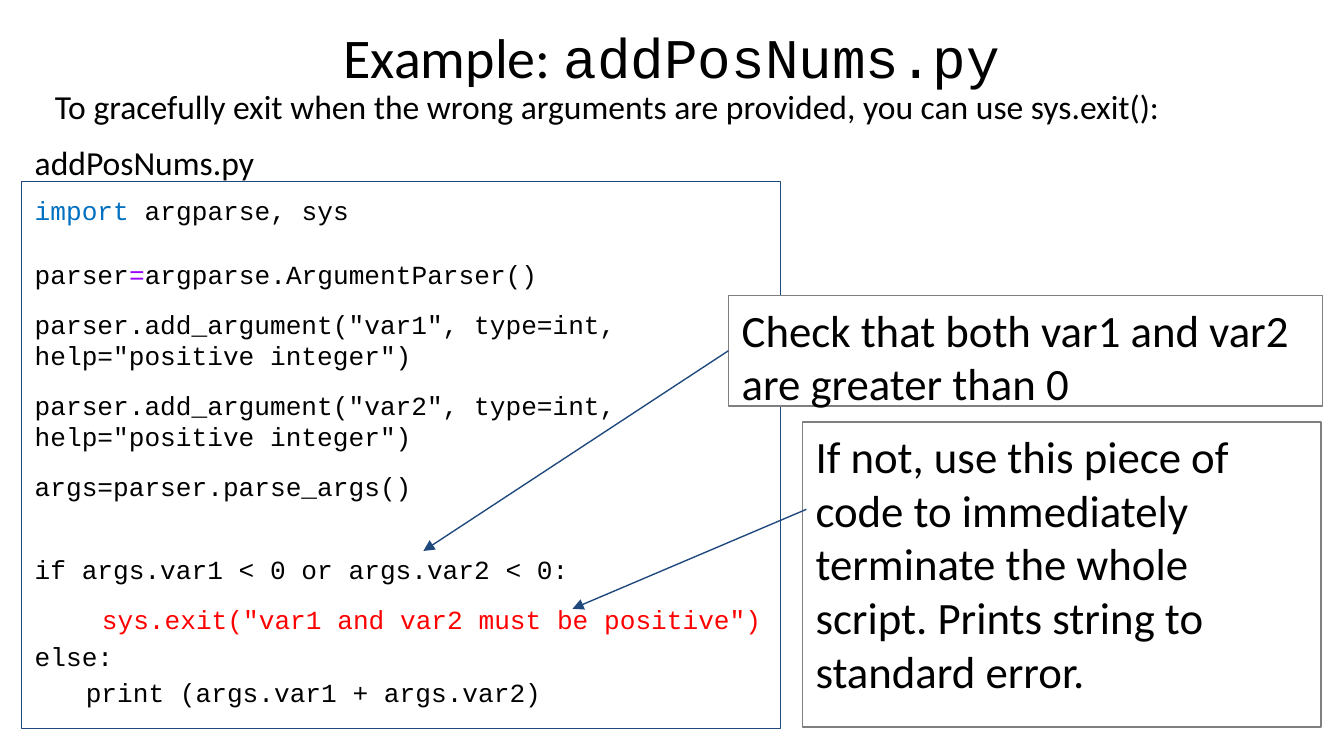
from dataclasses import dataclass

from lxml import etree
from pptx import Presentation
from pptx import util as u
from pptx.dml.color import RGBColor
from pptx.enum import shapes, text
from pptx.oxml import ns

BLACK = RGBColor(0x00, 0x00, 0x00)
WHITE = RGBColor(0xFF, 0xFF, 0xFF)
GRAY = RGBColor(0x7F, 0x7F, 0x7F)
NAVY = RGBColor(0x1F, 0x49, 0x7D)
BLUE = RGBColor(0x00, 0x70, 0xC0)
PURPLE = RGBColor(0x99, 0x00, 0xFF)
RED = RGBColor(0xFF, 0x00, 0x00)
SANS, MONO = "Calibri", "Courier New"
SLIDE_WIDTH = 10
SLIDE_HEIGHT = SLIDE_WIDTH * 9 / 16


@dataclass(frozen=True)
class Run:
    text: str
    color: RGBColor = BLACK
    font: str | None = None


@dataclass(frozen=True)
class Line:
    runs: tuple[Run, ...]
    before: float = 0
    indent: float = 0


@dataclass(frozen=True)
class Box:
    left: float
    top: float
    width: float
    height: float
    lines: tuple[Line, ...]
    size: float
    font: str = SANS
    inset: float = 0.05
    align: text.PP_ALIGN = text.PP_ALIGN.LEFT
    spacing: float | None = None
    fill: RGBColor | None = None
    border: RGBColor | None = None


@dataclass(frozen=True)
class Arrow:
    start: tuple[float, float]
    end: tuple[float, float]


def plain(words: str, before: float = 0, indent: float = 0, color: RGBColor = BLACK) -> Line:
    return Line((Run(words, color),), before, indent)


TITLE = Box(0.5, 0.07, 9, 0.94, (Line((Run("Example: "), Run("addPosNums.py", font=MONO))),),
            30, inset=0.1, align=text.PP_ALIGN.CENTER)
CODE = Box(0.16, 1.35, 5.65, 4.07, (
    Line((Run("import", BLUE), Run(" argparse, sys"))),
    Line((Run("parser"), Run("=", PURPLE), Run("argparse.ArgumentParser()")), 17),
    plain('parser.add_argument("var1", type=int, help="positive integer")', 10),
    plain('parser.add_argument("var2", type=int, help="positive integer")', 10),
    plain("args=parser.parse_args()", 10),
    plain("if args.var1 < 0 or args.var2 < 0:", 27.5),
    plain('sys.exit("var1 and var2 must be positive")', 10, 0.5, RED),
    plain("else:", 2.8),
    plain("print (args.var1 + args.var2)", 2.8, 0.38),
), 14, MONO, 0.1, spacing=16.8, border=NAVY)
FILE_LABEL = Box(0.16, 1.01, 2.02, 0.34, (plain("addPosNums.py"),), 18)
INTRO = Box(0.31, 0.54, 9.09, 0.47, (plain(
    "To gracefully exit when the wrong arguments are provided, you can use sys.exit():"),),
    18, inset=0.1)
CHECK_NOTE = Box(5.42, 2.2, 4.42, 0.82, (plain(
    "Check that both var1 and var2 are greater than 0"),), 24, fill=WHITE, border=GRAY)
EXIT_NOTE = Box(5.97, 3.14, 3.86, 2.27, (plain(
    "If not, use this piece of code to immediately terminate the whole script. "
    "Prints string to standard error."),), 24, fill=WHITE, border=GRAY)
CHECK_ARROW = Arrow((5.42, 2.61), (3.15, 4.1))
EXIT_ARROW = Arrow((6, 3.79), (4.26, 4.53))


def draw_box(slide, box: Box):
    place = [u.Inches(value) for value in (box.left, box.top, box.width, box.height)]
    if box.border is None:
        shape = slide.shapes.add_textbox(*place)
    else:
        shape = slide.shapes.add_shape(shapes.MSO_SHAPE.RECTANGLE, *place)
        shape.shadow.inherit = False
        shape.line.color.rgb = box.border
        shape.line.width = u.Pt(0.75)
        if box.fill is None:
            shape.fill.background()
        else:
            shape.fill.solid()
            shape.fill.fore_color.rgb = box.fill
    frame = shape.text_frame
    frame.word_wrap = True
    frame.vertical_anchor = text.MSO_ANCHOR.TOP
    frame.margin_left = frame.margin_right = u.Inches(0.1)
    frame.margin_top = frame.margin_bottom = u.Inches(box.inset)
    for index, line in enumerate(box.lines):
        paragraph = frame.add_paragraph() if index else frame.paragraphs[0]
        write_line(paragraph, line, box)
    return shape


def write_line(paragraph, line: Line, box: Box) -> None:
    paragraph.alignment = box.align
    if line.before:
        paragraph.space_before = u.Pt(line.before)
    if box.spacing:
        paragraph.line_spacing = u.Pt(box.spacing)
    if line.indent:
        paragraph._p.get_or_add_pPr().set("marL", str(u.Inches(line.indent)))
    paragraph.font.size = u.Pt(box.size)
    paragraph.font.name = box.font
    paragraph.font.color.rgb = line.runs[0].color
    for part in line.runs:
        run = paragraph.add_run()
        run.text = part.text
        if part.font:
            run.font.name = part.font
        if part.color != line.runs[0].color:
            run.font.color.rgb = part.color


def draw_arrow(slide, arrow: Arrow):
    points = [u.Inches(value) for value in (*arrow.start, *arrow.end)]
    connector = slide.shapes.add_connector(shapes.MSO_CONNECTOR.STRAIGHT, *points)
    connector.line.color.rgb = NAVY
    connector.line.width = u.Pt(0.75)
    etree.SubElement(connector.line._get_or_add_ln(), ns.qn("a:tailEnd"), type="triangle")
    etree.SubElement(connector._element.spPr, ns.qn("a:effectLst"))
    return connector


def main() -> None:
    """Build the slide on exiting a script gracefully."""
    presentation = Presentation()
    presentation.slide_width = u.Inches(SLIDE_WIDTH)
    presentation.slide_height = u.Inches(SLIDE_HEIGHT)
    slide = presentation.slides.add_slide(presentation.slide_layouts[6])
    for box in (TITLE, CODE, FILE_LABEL, INTRO):
        draw_box(slide, box)
    check_note = draw_box(slide, CHECK_NOTE)
    draw_arrow(slide, CHECK_ARROW).begin_connect(check_note, 1)
    draw_box(slide, EXIT_NOTE)
    draw_arrow(slide, EXIT_ARROW)
    presentation.save("out.pptx")


if __name__ == "__main__":
    main()
